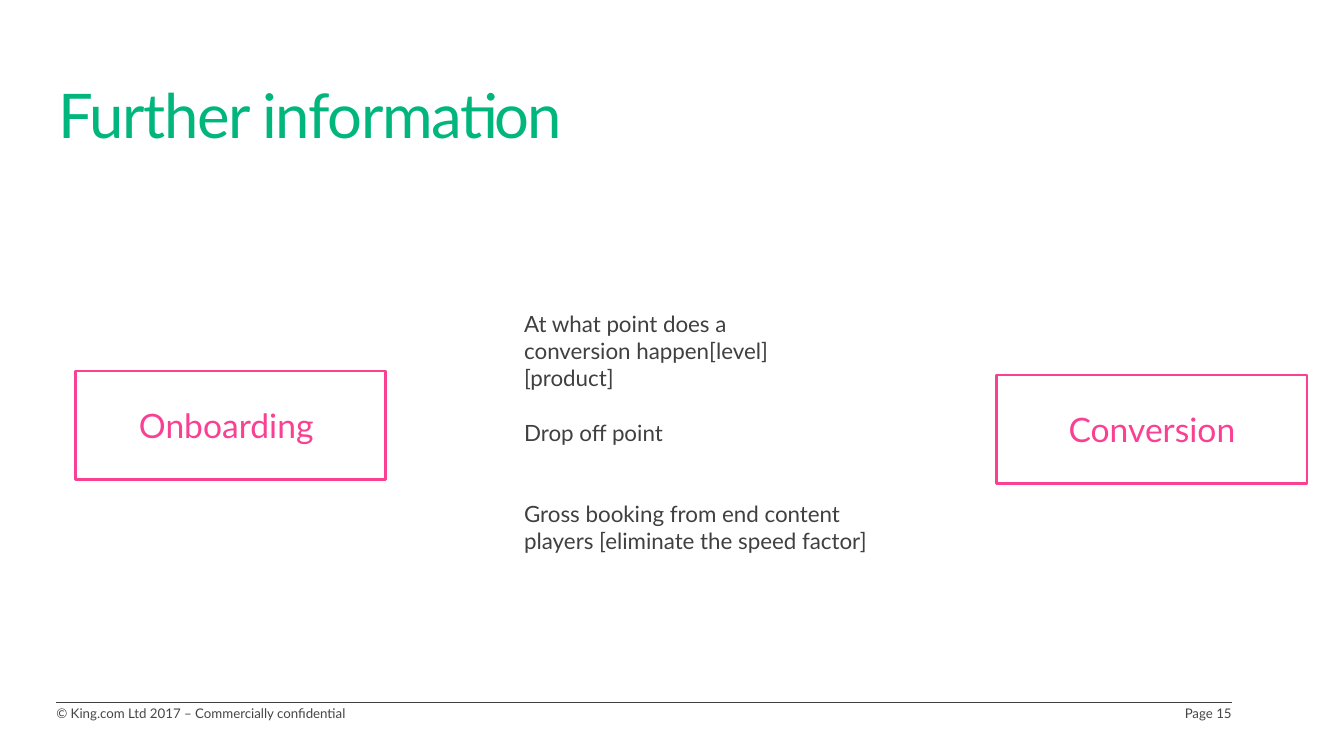
import dataclasses

import lxml.etree
import pptx
import pptx.dml.color
import pptx.enum.shapes
import pptx.enum.text
import pptx.oxml.ns
import pptx.util

Cm = pptx.util.Cm
Pt = pptx.util.Pt
Align = pptx.enum.text.PP_ALIGN
Anchor = pptx.enum.text.MSO_ANCHOR


@dataclasses.dataclass(frozen=True)
class Theme:
    font: str = "Lato"
    green: str = "00B67D"
    pink: str = "FA4092"
    white: str = "FFFFFF"
    dark: str = "404040"
    grey: str = "464646"
    title_size: float = 44
    stage_size: float = 24
    body_size: float = 16
    footer_size: float = 9.5
    rule_width: float = 0.5
    stage_width: float = 2


THEME = Theme()


def rgb(value):
    return pptx.dml.color.RGBColor.from_string(value)


def apply_format(target, values):
    for name, value in values.items():
        setattr(target, name, value)


def write_text(shape, text, size, colour, align=Align.LEFT):
    para = shape.text_frame.paragraphs[0]
    para.alignment = align
    span = para.add_run()
    span.text = text
    apply_format(span.font, {"name": THEME.font, "size": Pt(size)})
    span.font.color.rgb = rgb(colour)
    return para, span


def add_text(page, box, text, size, colour, align=Align.LEFT, anchor=Anchor.TOP):
    shape = page.shapes.add_textbox(*map(Cm, box))
    apply_format(shape.text_frame, {
        "word_wrap": True, "vertical_anchor": anchor,
        "margin_left": 0, "margin_right": 0, "margin_top": 0, "margin_bottom": 0,
    })
    return write_text(shape, text, size, colour, align)


def add_title(page, box):
    para, span = add_text(page, box, "Further information", THEME.title_size,
                          THEME.green, anchor=Anchor.MIDDLE)
    para.line_spacing = 0.85
    span._r.get_or_add_rPr().set("spc", "-100")


def add_stage(page, box, label):
    shape = page.shapes.add_shape(
        pptx.enum.shapes.MSO_SHAPE.RECTANGLE, *map(Cm, box))
    shape.shadow.inherit = False
    shape.fill.solid()
    shape.fill.fore_color.rgb = rgb(THEME.white)
    shape.line.color.rgb = rgb(THEME.pink)
    shape.line.width = Pt(THEME.stage_width)
    apply_format(shape.text_frame, {"word_wrap": True, "vertical_anchor": Anchor.MIDDLE})
    write_text(shape, label, THEME.stage_size, THEME.pink, Align.CENTER)


def add_questions(page, box):
    left, top, width, height = box
    questions = [
        (0, 7.82, "At what point does a conversion happen[level][product]"),
        (2.75, width, "Drop off point"),
        (4.78, 8.69, "Gross booking from end content players [eliminate the speed factor]"),
    ]
    for offset, question_width, text in questions:
        add_text(page, (left, top + offset, question_width, height), text,
                 THEME.body_size, THEME.dark)


def add_footer(page, box):
    left, top, width, height = box
    rule = page.shapes.add_connector(
        pptx.enum.shapes.MSO_CONNECTOR.STRAIGHT,
        Cm(left), Cm(top), Cm(left + width), Cm(top))
    rule.line.color.rgb = rgb(THEME.dark)
    rule.line.width = Pt(THEME.rule_width)
    lxml.etree.SubElement(rule._element.spPr, pptx.oxml.ns.qn("a:effectLst"))
    text_top = top + 0.08
    number_width = 2
    add_text(page, (left, text_top, 10.8, height),
             "© King.com Ltd 2017 – Commercially confidential",
             THEME.footer_size, THEME.grey)
    add_text(page, (left + width - number_width, text_top, number_width, height),
             "Page 15", THEME.footer_size, THEME.grey, Align.RIGHT)


def main():
    deck = pptx.Presentation()
    apply_format(deck, {"slide_width": Cm(33.87), "slide_height": Cm(19.05)})
    page = deck.slides.add_slide(deck.slide_layouts[6])
    add_footer(page, (1.42, 17.7, 29.62, 0.74))
    add_title(page, (1.47, 1.27, 31.29, 3.5))
    add_stage(page, (1.9, 9.35, 7.82, 2.74), "Onboarding ")
    add_stage(page, (25.12, 9.45, 7.82, 2.74), "Conversion")
    add_questions(page, (13.21, 7.82, 9.09, 1.37))
    deck.save("out.pptx")


if __name__ == "__main__":
    main()
